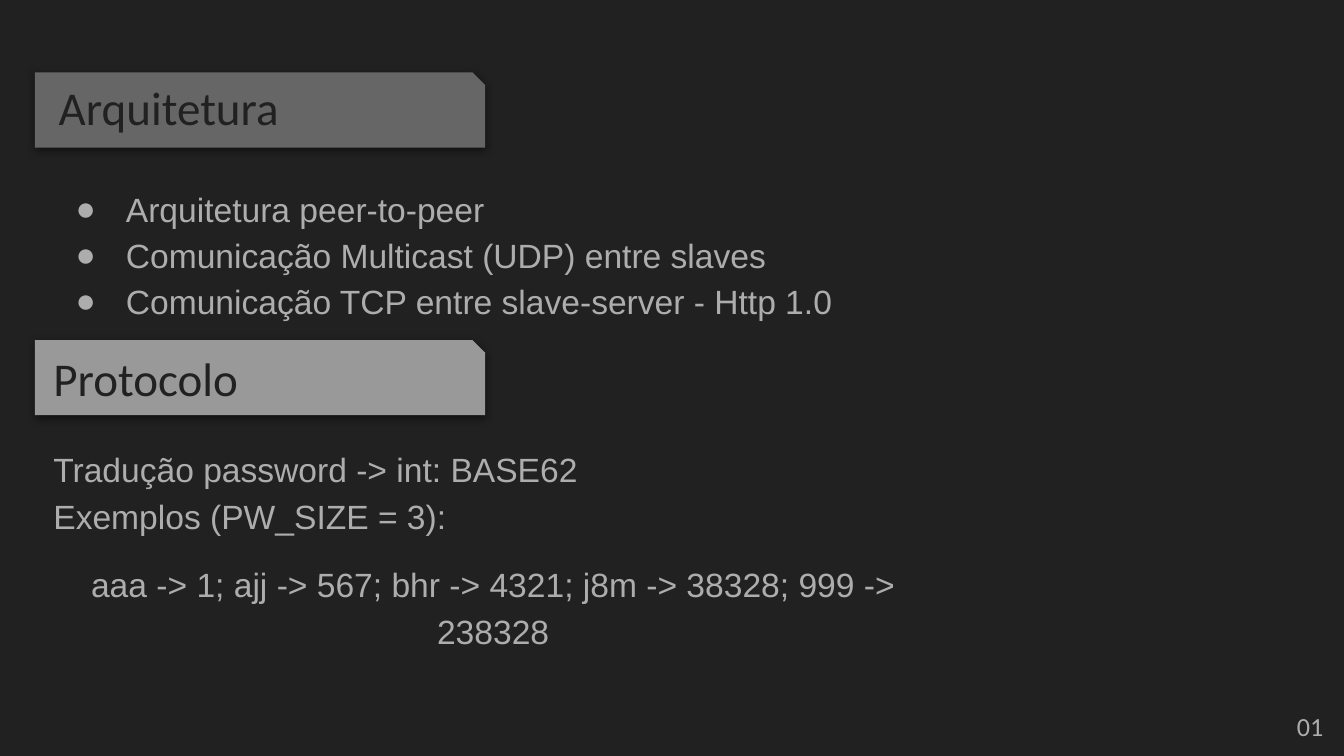
"""Builds the slide on architecture and protocol."""
from dataclasses import dataclass
from typing import Optional

from lxml import etree
from pptx import Presentation
from pptx import util as u
from pptx.dml.color import RGBColor
from pptx.enum import shapes, text
from pptx.oxml import ns

DARK = RGBColor(0x21, 0x21, 0x21)
GREY = RGBColor(0x66, 0x66, 0x66)
LIGHT = RGBColor(0x99, 0x99, 0x99)
PALE = RGBColor(0xAD, 0xAD, 0xAD)


@dataclass(frozen=True)
class Box:
    left: float
    top: float
    width: float
    height: float

    def lengths(self) -> tuple:
        return tuple(u.Cm(v) for v in (self.left, self.top, self.width, self.height))


@dataclass(frozen=True)
class Style:
    font: str
    size: float
    color: RGBColor
    spacing: Optional[float] = None


@dataclass(frozen=True)
class Banner:
    top: float
    fill: RGBColor


HEADING = Style("Calibri", 25.2, DARK)
BODY = Style("Arial", 18, PALE, 1.15)
NUMBER = Style("Calibri", 14, PALE)
BANNERS = [Banner(1.37, GREY), Banner(6.43, LIGHT)]


def add_child(parent, tag: str, **attrs: str):
    child = etree.SubElement(parent, ns.qn(tag))
    for name, value in attrs.items():
        child.set(name, value)
    return child


def draw_banner(s, banner: Banner) -> None:
    sp = s.shapes.add_shape(shapes.MSO_SHAPE.SNIP_1_RECTANGLE,
                            *Box(0.66, banner.top, 8.51, 1.42).lengths())
    sp.adjustments[0] = 0.167
    sp.fill.solid()
    sp.fill.fore_color.rgb = banner.fill
    sp.line.fill.background()
    sp.shadow.inherit = False
    effects = sp._element.spPr.find(ns.qn("a:effectLst"))
    shadow = add_child(effects, "a:outerShdw", blurRad=str(u.Pt(4.5)), dist=str(u.Pt(1.5)),
                       dir="5400000", algn="bl", rotWithShape="0")
    color = add_child(shadow, "a:srgbClr", val="000000")
    add_child(color, "a:alpha", val="50000")


def write(sp, box: Box, lines: list[str], style: Style):
    sp.left, sp.top, sp.width, sp.height = box.lengths()
    tf = sp.text_frame
    tf.text = "\n".join(lines)
    tf.word_wrap = True
    tf.auto_size = text.MSO_AUTO_SIZE.NONE
    tf.vertical_anchor = text.MSO_ANCHOR.TOP
    tf.margin_left = tf.margin_top = tf.margin_right = tf.margin_bottom = u.Cm(0.25)
    for p in tf.paragraphs:
        p.alignment = text.PP_ALIGN.LEFT
        p.line_spacing = style.spacing
        for r in p.runs:
            r.font.name = style.font
            r.font.size = u.Pt(style.size)
            r.font.color.rgb = style.color
    return tf


def add_text(s, box: Box, lines: list[str], style: Style):
    return write(s.shapes.add_textbox(*box.lengths()), box, lines, style)


def add_bullet(p) -> None:
    props = p._p.get_or_add_pPr()
    props.set("marL", str(u.Cm(1.27)))
    props.set("indent", str(u.Cm(-0.95)))
    add_child(add_child(props, "a:buClr"), "a:srgbClr", val=str(PALE))
    add_child(props, "a:buFont", typeface="Arial")
    add_child(props, "a:buChar", char="●")


def main() -> None:
    prs = Presentation()
    prs.slide_width, prs.slide_height = u.Cm(25.4), u.Cm(14.29)
    s = prs.slides.add_slide(prs.slide_layouts[5])
    s.background.fill.solid()
    s.background.fill.fore_color.rgb = DARK

    for banner in BANNERS:
        draw_banner(s, banner)

    title = s.shapes.title
    write(title, Box(0.86, 1.24, 6.45, 1.6), ["Arquitetura"], HEADING)
    s.shapes._spTree.append(title._element)
    add_text(s, Box(0.76, 6.35, 23.67, 1.6), ["Protocolo"], HEADING)

    tf = add_text(s, Box(0.86, 3.2, 23.67, 9.5),
                  ["Arquitetura peer-to-peer",
                   "Comunicação Multicast (UDP) entre slaves",
                   "Comunicação TCP entre slave-server - Http 1.0"], BODY)
    for p in tf.paragraphs:
        add_bullet(p)

    tf = add_text(s, Box(0.76, 8.13, 17.12, 4.37),
                  ["Tradução password -> int: BASE62\vExemplos (PW_SIZE = 3):",
                   "aaa -> 1; ajj -> 567; bhr -> 4321; j8m -> 38328; 999 -> 238328"], BODY)
    p = tf.paragraphs[1]
    p.alignment = text.PP_ALIGN.CENTER
    p.space_before = p.space_after = u.Pt(12)

    add_text(s, Box(24.26, 13.18, 1.14, 1.12), ["01"], NUMBER)
    prs.save("out.pptx")


if __name__ == "__main__":
    main()
